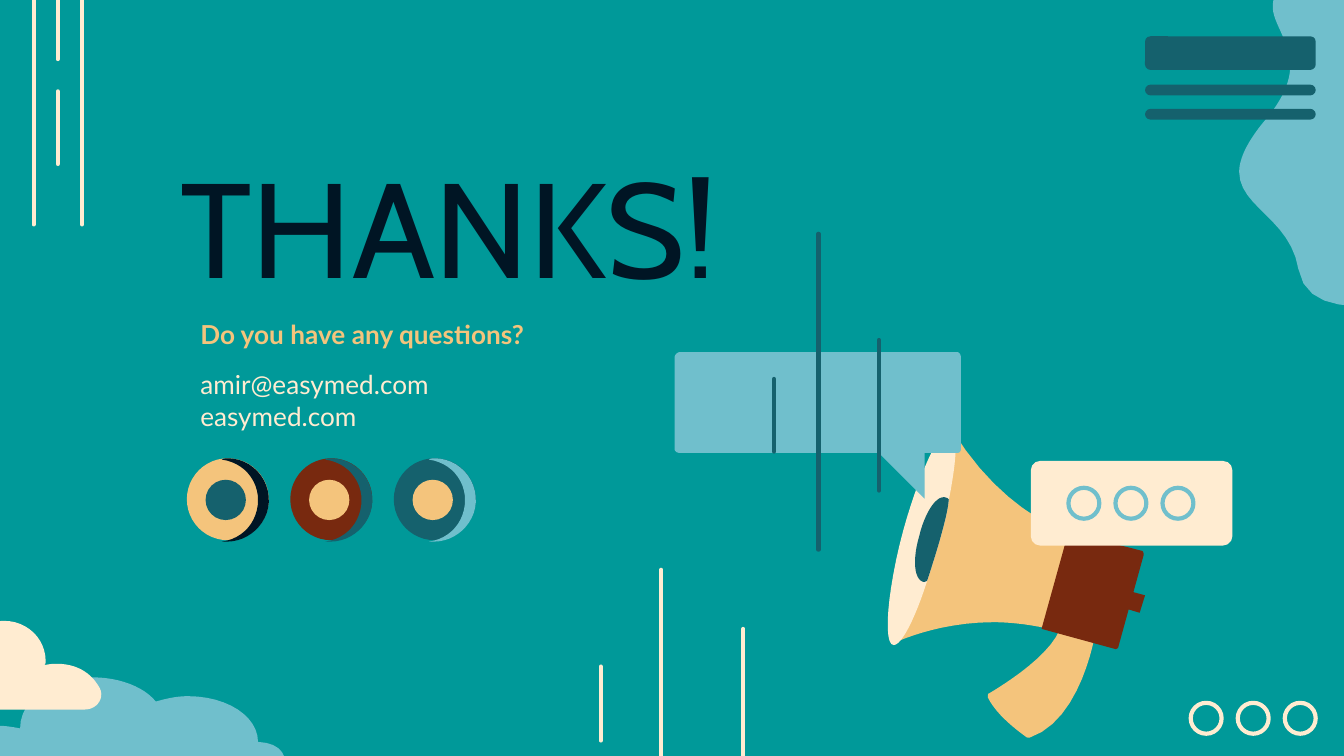
import pptx
import pptx.dml.color
import pptx.enum.shapes
import pptx.enum.text
import pptx.oxml.ns
import pptx.util
from lxml import etree

Inches = pptx.util.Inches
Pt = pptx.util.Pt
RGBColor = pptx.dml.color.RGBColor
Shape = pptx.enum.shapes.MSO_SHAPE
qn = pptx.oxml.ns.qn

TEAL = RGBColor(0x00, 0x99, 0x99)
SKY = RGBColor(0x70, 0xBF, 0xCC)
CREAM = RGBColor(0xFF, 0xEC, 0xD1)
PETROL = RGBColor(0x15, 0x61, 0x6D)
SAND = RGBColor(0xF4, 0xC4, 0x7C)
RUST = RGBColor(0x78, 0x29, 0x0F)
NAVY = RGBColor(0x00, 0x15, 0x24)

BACK_CLOUD = [
    (1.91, 5.79), (2.18, 5.79, 2.19, 5.53, 1.92, 5.52), (1.92, 5.33, 1.69, 5.18, 1.4, 5.18),
    (1.31, 5.18, 1.23, 5.2, 1.16, 5.22), (1.07, 5.11, 0.89, 5.04, 0.69, 5.04),
    (0.39, 5.04, 0.15, 5.2, 0.15, 5.42), (0.1, 5.41, 0.04, 5.4, -0.02, 5.4),
    (-0.23, 5.4, -0.42, 5.47, -0.54, 5.58), (-0.63, 5.67, -0.53, 5.79, -0.36, 5.79)]
FRONT_CLOUD = [
    (0.03, 4.62), (-0.09, 4.62, -0.19, 4.68, -0.25, 4.78), (-0.29, 4.76, -0.34, 4.74, -0.39, 4.74),
    (-0.55, 4.74, -0.69, 4.88, -0.69, 5.04), (-0.85, 5.05, -0.84, 5.28, -0.68, 5.28),
    (0.63, 5.28), (0.73, 5.28, 0.79, 5.18, 0.73, 5.1), (0.67, 5, 0.56, 4.94, 0.43, 4.94),
    (0.4, 4.94, 0.37, 4.94, 0.33, 4.95), (0.34, 4.94, 0.34, 4.93, 0.34, 4.92),
    (0.34, 4.75, 0.2, 4.62, 0.03, 4.62)]
CORNER_BLOB = [
    (9.22, 1.28), (9.22, 1.54, 9.6, 1.63, 9.66, 2), (9.75, 2.51, 10.64, 2.11, 10.78, 2.39),
    (10.83, 2.5, 10.93, 2.54, 11.03, 2.54), (11.21, 2.55, 11.37, 2.49, 11.37, 2.31),
    (11.37, -0.39), (11.37, -0.5, 11.31, -0.46, 11.22, -0.51),
    (11.05, -0.62, 10.78, -0.73, 10.62, -0.41), (10.39, 0.07, 9.94, -0.57, 9.58, -0.18),
    (9.5, -0.09, 9.47, -0.02, 9.47, 0.05), (9.47, 0.12, 9.51, 0.19, 9.54, 0.26),
    (9.57, 0.33, 9.6, 0.4, 9.6, 0.49), (9.6, 0.6, 9.55, 0.74, 9.4, 0.91),
    (9.27, 1.07, 9.22, 1.19, 9.22, 1.28)]
HANDLE = [
    (7.9, 4.63), (8.15, 4.71), (8.15, 4.71, 8.05, 5.36, 7.66, 5.49),
    (7.65, 5.49, 7.64, 5.49, 7.63, 5.48), (7.59, 5.45, 7.42, 5.33, 7.35, 5.19),
    (7.35, 5.18, 7.35, 5.16, 7.36, 5.16), (7.46, 5.1, 7.87, 4.85, 7.9, 4.63)]
HORN = [
    (7.08, 3.19), (7.48, 3.86, 8.02, 3.99, 8.02, 3.99), (7.85, 4.69),
    (7.69, 4.65, 7.53, 4.63, 7.39, 4.63), (6.96, 4.63, 6.64, 4.79, 6.64, 4.79)]
RIM = [
    (7.08, 3.19), (7.13, 3.2, 7.12, 3.42, 7.06, 3.72), (7.05, 3.82, 7.02, 3.92, 6.99, 4.03),
    (6.96, 4.13, 6.93, 4.23, 6.9, 4.32), (6.81, 4.6, 6.71, 4.8, 6.65, 4.8),
    (6.57, 4.8, 6.6, 4.4, 6.72, 3.95), (6.84, 3.52, 6.99, 3.19, 7.08, 3.19)]
HORN_BASE = [
    (7.95, 3.96), (8.5, 4.1), (8.51, 4.11, 8.51, 4.12, 8.51, 4.13), (8.32, 4.82),
    (8.32, 4.82, 8.31, 4.83, 8.3, 4.83), (7.75, 4.68)]
KNOB = [(8.41, 4.4), (8.52, 4.43), (8.48, 4.56), (8.38, 4.53)]
HORN_HOLE = [
    (7.02, 3.7), (7.04, 3.7, 7.06, 3.71, 7.06, 3.72), (7.05, 3.82, 7.02, 3.92, 6.99, 4.03),
    (6.96, 4.13, 6.93, 4.23, 6.9, 4.32), (6.89, 4.33, 6.88, 4.33, 6.87, 4.33),
    (6.8, 4.31, 6.79, 4.16, 6.84, 3.99), (6.88, 3.82, 6.96, 3.7, 7.02, 3.7)]
SPEECH_BUBBLE = [
    (7.12, 2.62), (7.14, 2.62, 7.15, 2.64, 7.15, 2.66), (7.15, 3.34),
    (7.15, 3.36, 7.14, 3.37, 7.12, 3.37), (6.88, 3.37), (6.88, 3.71), (6.54, 3.37),
    (5.06, 3.37), (5.04, 3.37, 5.02, 3.36, 5.02, 3.34), (5.02, 2.66),
    (5.02, 2.64, 5.04, 2.62, 5.06, 2.62)]
CRESCENT = [
    (0.3, 0), (0.29, 0, 0.28, 0, 0.26, 0.01), (0.42, 0.03, 0.53, 0.16, 0.53, 0.31),
    (0.53, 0.47, 0.42, 0.6, 0.26, 0.62), (0.28, 0.62, 0.29, 0.62, 0.3, 0.62),
    (0.46, 0.62, 0.6, 0.49, 0.61, 0.33), (0.62, 0.15, 0.48, 0, 0.3, 0)]


def trace(steps, count=12):
    """Turn line steps (x, y) and Bézier steps (six numbers) into points."""
    points = [steps[0]]
    for step in steps[1:]:
        if len(step) == 2:
            points.append(step)
            continue
        nodes = [points[-1], step[0:2], step[2:4], step[4:6]]
        for index in range(1, count + 1):
            t = index / count
            weights = ((1 - t) ** 3, 3 * t * (1 - t) ** 2, 3 * t * t * (1 - t), t ** 3)
            points.append(tuple(sum(w * node[axis] for w, node in zip(weights, nodes))
                                for axis in (0, 1)))
    return points


def paint(shape, color):
    """Give a shape a plain fill with no line or shadow."""
    shape.shadow.inherit = False
    shape.fill.solid()
    shape.fill.fore_color.rgb = color
    shape.line.fill.background()


def add_outline(slide, steps, color, left=0, top=0):
    """Add a filled freeform, optionally shifted."""
    points = [(Inches(left + x), Inches(top + y)) for x, y in trace(steps)]
    builder = slide.shapes.build_freeform(*points[0])
    builder.add_line_segments(points[1:], close=True)
    paint(builder.convert_to_shape(), color)


def add_disc(slide, left, top, size, color):
    """Add a filled circle."""
    paint(slide.shapes.add_shape(Shape.OVAL, Inches(left), Inches(top),
                                 Inches(size), Inches(size)), color)


def add_bar(slide, left, top, width, height, radius, color):
    """Add a filled rectangle with rounded corners."""
    bar = slide.shapes.add_shape(Shape.ROUNDED_RECTANGLE, Inches(left), Inches(top),
                                 Inches(width), Inches(height))
    bar.adjustments[0] = radius / height
    paint(bar, color)


def add_ring_row(slide, left, top, color):
    """Add three evenly spaced rings."""
    for index in range(3):
        ring = slide.shapes.add_shape(Shape.OVAL, Inches(left + 0.35 * index), Inches(top),
                                      Inches(0.23), Inches(0.23))
        ring.shadow.inherit = False
        ring.fill.background()
        ring.line.color.rgb = color
        ring.line.width = Pt(2.25)


def add_stripes(slide, stripes, color):
    """Add vertical round-ended lines given as (x, top, bottom)."""
    for x, top, bottom in stripes:
        stripe = slide.shapes.add_connector(pptx.enum.shapes.MSO_CONNECTOR.STRAIGHT, Inches(x),
                                            Inches(bottom), Inches(x), Inches(top))
        stripe.line.color.rgb = color
        stripe.line.width = Pt(2.25)
        properties = stripe._element.spPr
        properties.find(qn("a:ln")).set("cap", "rnd")
        etree.SubElement(properties, qn("a:effectLst"))


def add_badge(slide, left, disc_color, shade_color, mark_color):
    """Add a contact badge with a crescent shade and a plain mark."""
    add_disc(slide, left, 3.41, 0.61, disc_color)
    add_outline(slide, CRESCENT, shade_color, left, 3.41)
    add_disc(slide, left + 0.14, 3.57, 0.3, mark_color)


def place(shape, left, top, width, height):
    """Set the position and size of a placeholder."""
    shape.left, shape.top = Inches(left), Inches(top)
    shape.width, shape.height = Inches(width), Inches(height)


def style(paragraph, font_name, size, color, bold=False):
    """Set alignment and font of a paragraph."""
    paragraph.alignment = pptx.enum.text.PP_ALIGN.LEFT
    paragraph.font.name = font_name
    paragraph.font.size = Pt(size)
    paragraph.font.bold = bold
    paragraph.font.color.rgb = color


def fill_title(title):
    """Write the headline."""
    place(title, 1.24, 1.13, 4.69, 1.09)
    frame = title.text_frame
    frame.text = "THANKS!"
    frame.auto_size = pptx.enum.text.MSO_AUTO_SIZE.NONE
    frame.vertical_anchor = pptx.enum.text.MSO_ANCHOR.MIDDLE
    frame.margin_top = frame.margin_bottom = Inches(0.1)
    style(frame.paragraphs[0], "Cabin", 72, NAVY)


def fill_contact(body):
    """Write the question and the contact lines."""
    place(body, 1.39, 2.32, 5, 0.95)
    frame = body.text_frame
    frame.text = "Do you have any questions?\namir@easymed.com\neasymed.com"
    frame.auto_size = pptx.enum.text.MSO_AUTO_SIZE.SHAPE_TO_FIT_TEXT
    for index, paragraph in enumerate(frame.paragraphs):
        properties = paragraph._p.get_or_add_pPr()
        properties.set("marL", "0")
        properties.set("indent", "0")
        etree.SubElement(properties, qn("a:buNone"))
        paragraph.space_before = Pt(10 if index == 1 else 0)
        style(paragraph, "Lato", 14, CREAM if index else SAND, index == 0)


def add_scenery(slide):
    """Add the decoration around the edges."""
    add_outline(slide, BACK_CLOUD, SKY)
    add_outline(slide, CORNER_BLOB, SKY)
    add_stripes(slide, [(4.92, 4.24, 6.59), (5.53, 4.68, 5.8), (4.47, 4.96, 5.51),
                        (0.61, -0.68, 1.67), (0.43, -0.68, 0.44), (0.43, 0.68, 1.22),
                        (0.25, -0.68, 1.67)], CREAM)
    add_ring_row(slide, 8.86, 5.23, CREAM)
    for top, height in ((0.27, 0.25), (0.63, 0.08), (0.81, 0.08)):
        add_bar(slide, 8.52, top, 1.27, height, 0.04, PETROL)
    add_outline(slide, FRONT_CLOUD, CREAM)


def add_megaphone(slide):
    """Add the megaphone with its speech bubbles."""
    for steps, color in ((HANDLE, SAND), (HORN, SAND), (RIM, CREAM), (HORN_BASE, RUST),
                         (KNOB, RUST), (HORN_HOLE, PETROL), (SPEECH_BUBBLE, SKY)):
        add_outline(slide, steps, color)
    add_stripes(slide, [(6.09, 1.74, 4.09), (6.54, 2.53, 3.65), (5.76, 2.82, 3.36)], PETROL)
    add_bar(slide, 7.67, 3.43, 1.5, 0.63, 0.07, CREAM)
    add_ring_row(slide, 7.95, 3.63, SKY)


def main():
    """Build the closing slide."""
    presentation = pptx.Presentation()
    presentation.slide_width = Inches(10)
    presentation.slide_height = presentation.slide_width * 9 // 16
    slide = presentation.slides.add_slide(presentation.slide_layouts[1])
    slide.background.fill.solid()
    slide.background.fill.fore_color.rgb = TEAL
    fill_title(slide.shapes.title)
    fill_contact(slide.placeholders[1])
    add_scenery(slide)
    add_megaphone(slide)
    badges = ((SAND, NAVY, PETROL), (RUST, PETROL, SAND), (PETROL, SKY, SAND))
    for index, colors in enumerate(badges):
        add_badge(slide, 1.39 + 0.77 * index, *colors)
    presentation.save("out.pptx")


if __name__ == "__main__":
    main()
